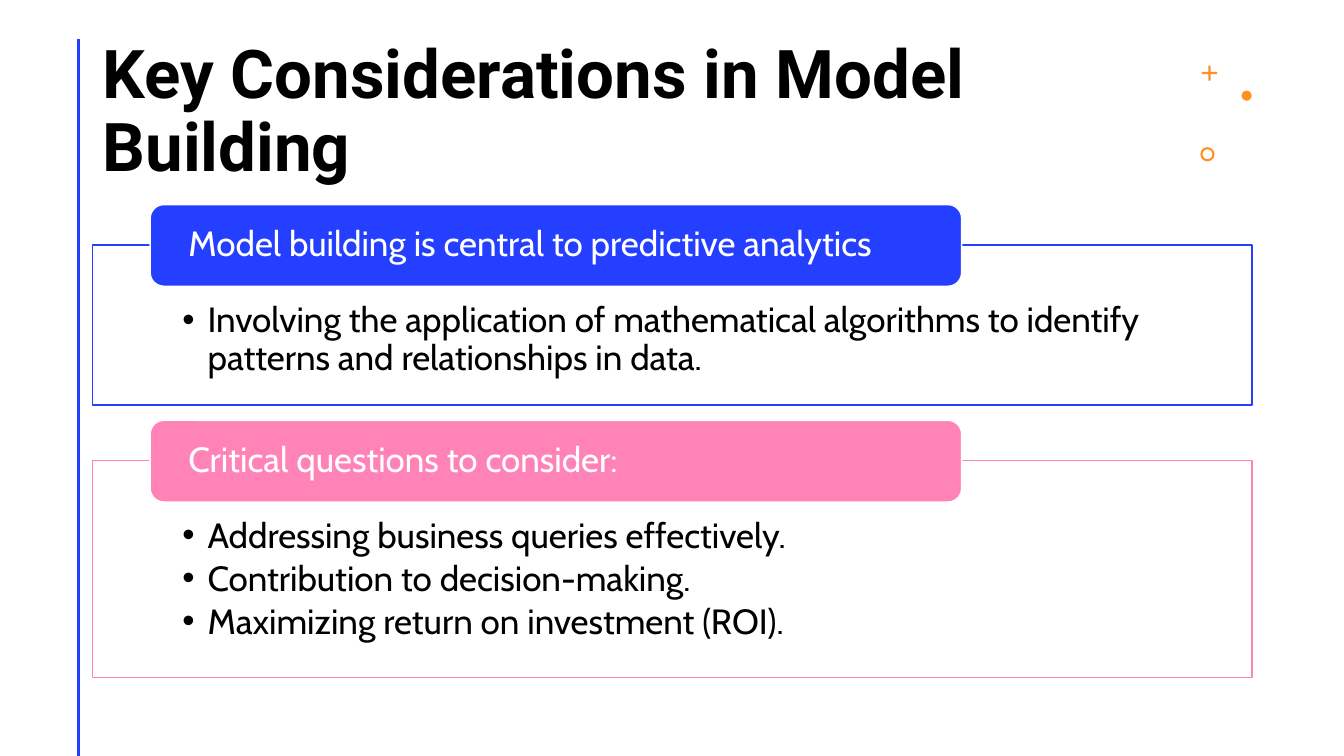
import lxml.etree
import pptx
import pptx.dml.color
import pptx.enum.shapes
import pptx.enum.text
import pptx.oxml.ns
import pptx.util

Pt = pptx.util.Pt
SHAPES = pptx.enum.shapes.MSO_SHAPE
ANCHORS = pptx.enum.text.MSO_ANCHOR
BLUE, PINK, ORANGE = "243FFF", "FF83B6", "FF9022"
WHITE, BLACK = "FFFFFF", "000000"
CARD_LEFT, CARD_WIDTH = 66.24, 828
HEADER_LEFT, HEADER_WIDTH, HEADER_HEIGHT = 107.3, 579.6, 58.3
HEADER_RISE = 28.8
CARDS = [
    (174.96, 114.5, BLUE, "Model building is central to predictive analytics",
     ["Involving the application of mathematical algorithms to identify "
      "patterns and relationships in data."]),
    (329.04, 154.8, PINK, "Critical questions to consider:",
     ["Addressing business queries effectively.",
      "Contribution to decision-making.",
      "Maximizing return on investment (ROI)."]),
]
ORNAMENTS = [
    (SHAPES.CROSS, 858.5, 46.8, 10.8, 0.43),
    (SHAPES.OVAL, 886.9, 64.8, 7.2, None),
    (SHAPES.DONUT, 857.4, 105.1, 10.2, 0.15),
]


def color(hex_code):
    """Turn a hex string into a colour."""
    return pptx.dml.color.RGBColor.from_string(hex_code)


def add_child(parent, tag, **attributes):
    """Append a DrawingML element to a parent."""
    child = lxml.etree.SubElement(parent, pptx.oxml.ns.qn(tag))
    for name, value in attributes.items():
        child.set(name, value)
    return child


def write_text(holder, lines, font="Cabin", size=25, ink=BLACK, bold=False,
               anchor=ANCHORS.TOP, insets=(7.2, 3.6, 7.2, 3.6), bullet=None,
               space_after=0):
    """Fill a shape or text box with formatted paragraphs."""
    frame = holder.text_frame
    frame.word_wrap = True
    frame.vertical_anchor = anchor
    (frame.margin_left, frame.margin_top,
     frame.margin_right, frame.margin_bottom) = map(Pt, insets)
    for index, line in enumerate(lines):
        paragraph = frame.add_paragraph() if index else frame.paragraphs[0]
        paragraph.text = line
        paragraph.alignment = pptx.enum.text.PP_ALIGN.LEFT
        if bullet:
            paragraph.level = 1
            properties = paragraph._p.get_or_add_pPr()
            properties.set("marL", str(Pt(18)))
            properties.set("indent", str(Pt(-18)))
            add_child(properties, "a:buFont", typeface="Arial")
            add_child(properties, "a:buChar", char=bullet)
        paragraph.line_spacing = 0.9
        paragraph.space_after = Pt(space_after)
        paragraph.font.name = font
        paragraph.font.size = Pt(size)
        paragraph.font.bold = bold
        paragraph.font.color.rgb = color(ink)


def add_block(slide, kind, left, top, width, height, fill, outline=None):
    """Draw a filled preset shape with an optional outline."""
    block = slide.shapes.add_shape(kind, Pt(left), Pt(top), Pt(width), Pt(height))
    block.shadow.inherit = False
    block.fill.solid()
    block.fill.fore_color.rgb = color(fill)
    if outline:
        block.line.color.rgb = color(outline)
        block.line.width = Pt(1)
    else:
        block.line.fill.background()
    return block


def add_title(slide, title):
    """Place the slide title."""
    heading = slide.shapes.add_textbox(Pt(66.24), Pt(28.8), Pt(774.7), Pt(104.4))
    write_text(heading, [title], font="Roboto", size=48, bold=True,
               anchor=ANCHORS.MIDDLE)


def add_margin_rule(slide):
    """Draw the vertical rule along the left margin."""
    rule = slide.shapes.add_connector(pptx.enum.shapes.MSO_CONNECTOR.STRAIGHT,
                                      Pt(56.16), Pt(28), Pt(56.16), Pt(540))
    rule.line.color.rgb = color(BLUE)
    rule.line.width = Pt(2)
    add_child(rule._element.spPr, "a:effectLst")


def add_ornament(slide, kind, left, top, size, adjustment):
    """Draw one small corner ornament."""
    ornament = add_block(slide, kind, left, top, size, size, ORANGE)
    if adjustment is not None:
        ornament.adjustments[0] = adjustment


def add_card(slide, top, height, accent, heading, points):
    """Draw an outlined card with a header overlapping its top edge."""
    body = add_block(slide, SHAPES.RECTANGLE, CARD_LEFT, top, CARD_WIDTH, height,
                     WHITE, accent)
    body_color = body._element.spPr.find(".//" + pptx.oxml.ns.qn("a:srgbClr"))
    add_child(body_color, "a:alpha", val="90000")
    write_text(body, points, insets=(64.1, 41, 64.1, 13.7), bullet="•",
               space_after=3.75)
    header = add_block(slide, SHAPES.ROUNDED_RECTANGLE, HEADER_LEFT,
                       top - HEADER_RISE, HEADER_WIDTH, HEADER_HEIGHT,
                       accent, WHITE)
    write_text(header, [heading], ink=WHITE, anchor=ANCHORS.MIDDLE,
               insets=(24.5, 0, 24.5, 0))


def main():
    """Build and save the slide."""
    deck = pptx.Presentation()
    deck.slide_width, deck.slide_height = Pt(960), Pt(540)
    slide = deck.slides.add_slide(deck.slide_layouts[6])
    add_title(slide, "Key Considerations in Model Building")
    add_margin_rule(slide)
    for ornament in ORNAMENTS:
        add_ornament(slide, *ornament)
    for card in CARDS:
        add_card(slide, *card)
    deck.save("out.pptx")


if __name__ == "__main__":
    main()
